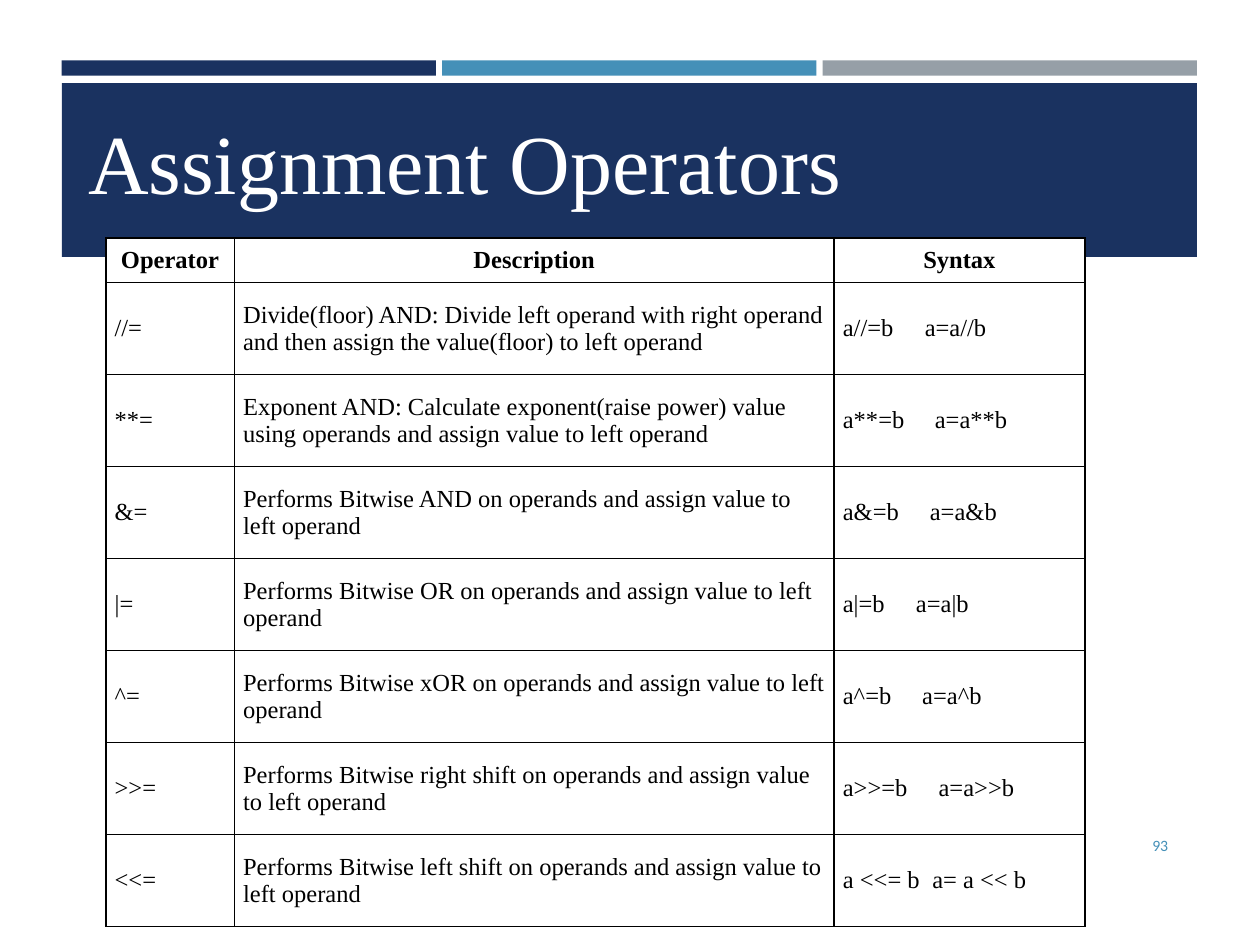
from dataclasses import dataclass

from lxml.etree import SubElement
from pptx import Presentation
from pptx.dml.color import RGBColor
from pptx.enum.shapes import MSO_SHAPE
from pptx.enum.text import MSO_ANCHOR as Anchor, PP_ALIGN as Align
from pptx.oxml.ns import qn
from pptx.util import Inches, Pt

NAVY = RGBColor(0x1A, 0x32, 0x60)
BLUE = RGBColor(0x45, 0x90, 0xB8)
GRAY = RGBColor(0x96, 0x9F, 0xA7)
WHITE = RGBColor(0xFF, 0xFF, 0xFF)
BLACK = RGBColor(0, 0, 0)
SERIF = "Times New Roman"
BITWISE = "Performs Bitwise {} on operands and assign value to left operand"


@dataclass
class Box:
    left: float
    top: float
    width: float
    height: float

    def emu(self) -> tuple:
        return tuple(Inches(v) for v in (self.left, self.top, self.width, self.height))


@dataclass
class Style:
    size: float
    color: RGBColor
    font: str = SERIF
    bold: bool = False
    align: Align = Align.LEFT


@dataclass
class Operator:
    symbol: str
    description: str
    short: str
    full: str
    full_at: float


TITLE = Style(48, WHITE)
HEADER = Style(14, BLACK, bold=True, align=Align.CENTER)
BODY = Style(14, BLACK)
NUMBER = Style(9, BLUE, "Calibri", align=Align.RIGHT)

HEADINGS = ("Operator", "Description", "Syntax")
COL_WIDTHS = (1.02, 4.76, 1.99)
HEADER_HEIGHT, ROW_HEIGHT = 0.33, 0.73
OPERATORS = [
    Operator("//=", "Divide(floor) AND: Divide left operand with right operand "
             "and then assign the value(floor) to left operand", "a//=b", "a=a//b", 0.65),
    Operator("**=", "Exponent AND: Calculate exponent(raise power) value "
             "using operands and assign value to left operand", "a**=b", "a=a**b", 0.73),
    Operator("&=", BITWISE.format("AND"), "a&=b", "a=a&b", 0.69),
    Operator("|=", BITWISE.format("OR"), "a|=b", "a=a|b", 0.58),
    Operator("^=", BITWISE.format("xOR"), "a^=b", "a=a^b", 0.63),
    Operator(">>=", BITWISE.format("right shift"), "a>>=b", "a=a>>b", 0.76),
    Operator("<<=", BITWISE.format("left shift"), "a <<= b", "a= a << b", 0.71),
]


def write(tf, text: str, style: Style):
    p = tf.paragraphs[0]
    p.alignment = style.align
    r = p.add_run()
    r.text = text
    r.font.name = style.font
    r.font.size = Pt(style.size)
    r.font.bold = style.bold
    r.font.color.rgb = style.color
    return p


def add_bar(s, box: Box, color: RGBColor) -> None:
    sp = s.shapes.add_shape(MSO_SHAPE.RECTANGLE, *box.emu())
    sp.shadow.inherit = False
    sp.fill.solid()
    sp.fill.fore_color.rgb = color
    sp.line.fill.background()


def add_text(s, box: Box, text: str, style: Style, anchor: Anchor) -> None:
    tf = s.shapes.add_textbox(*box.emu()).text_frame
    tf.word_wrap = True
    tf.vertical_anchor = anchor
    write(tf, text, style)


def add_borders(cell) -> None:
    tc_pr = cell._tc.get_or_add_tcPr()
    for i, side in enumerate(("lnL", "lnR", "lnT", "lnB")):
        ln = tc_pr.makeelement(qn(f"a:{side}"), {"w": str(Pt(1))})
        fill = SubElement(ln, qn("a:solidFill"))
        SubElement(fill, qn("a:srgbClr"), val=str(BLACK))
        tc_pr.insert(i, ln)


def fill_cell(cell, text: str, style: Style, pad_x: float, pad_y: float):
    cell.fill.solid()
    cell.fill.fore_color.rgb = WHITE
    cell.vertical_anchor = Anchor.MIDDLE
    cell.margin_left = cell.margin_right = Inches(pad_x)
    cell.margin_top = cell.margin_bottom = Inches(pad_y)
    add_borders(cell)
    return write(cell.text_frame, text, style)


def add_tab_stop(p, position: float) -> None:
    tabs = SubElement(p._p.get_or_add_pPr(), qn("a:tabLst"))
    SubElement(tabs, qn("a:tab"), pos=str(Inches(position)), algn="l")


def add_operator_table(s, left: float, top: float) -> None:
    height = HEADER_HEIGHT + ROW_HEIGHT * len(OPERATORS)
    box = Box(left, top, sum(COL_WIDTHS), height)
    table = s.shapes.add_table(len(OPERATORS) + 1, len(HEADINGS), *box.emu()).table
    table.first_row = table.horz_banding = False
    for col, width in zip(table.columns, COL_WIDTHS):
        col.width = Inches(width)
    for i, row in enumerate(table.rows):
        row.height = Inches(ROW_HEIGHT if i else HEADER_HEIGHT)
    for i, heading in enumerate(HEADINGS):
        fill_cell(table.cell(0, i), heading, HEADER, 0.06 if i else 0.04, 0.06)
    for i, op in enumerate(OPERATORS, 1):
        texts = (op.symbol, op.description, f"{op.short}\t{op.full}")
        for j, text in enumerate(texts):
            p = fill_cell(table.cell(i, j), text, BODY, 0.07, 0.1)
        add_tab_stop(p, op.full_at)


def main() -> None:
    prs = Presentation()
    prs.slide_width, prs.slide_height = Inches(10), Inches(7.5)
    s = prs.slides.add_slide(prs.slide_layouts[6])
    for i, color in enumerate((NAVY, BLUE, GRAY)):
        add_bar(s, Box(0.49 + 3.02 * i, 0.48, 2.97, 0.12), color)
    add_bar(s, Box(0.49, 0.66, 9.01, 1.38), NAVY)
    add_text(s, Box(0.6, 0.83, 8.51, 0.91), "Assignment Operators", TITLE, Anchor.TOP)
    add_operator_table(s, 0.84, 1.89)
    add_text(s, Box(8.53, 6.51, 0.84, 0.4), "93", NUMBER, Anchor.MIDDLE)
    prs.save("out.pptx")


if __name__ == "__main__":
    main()
